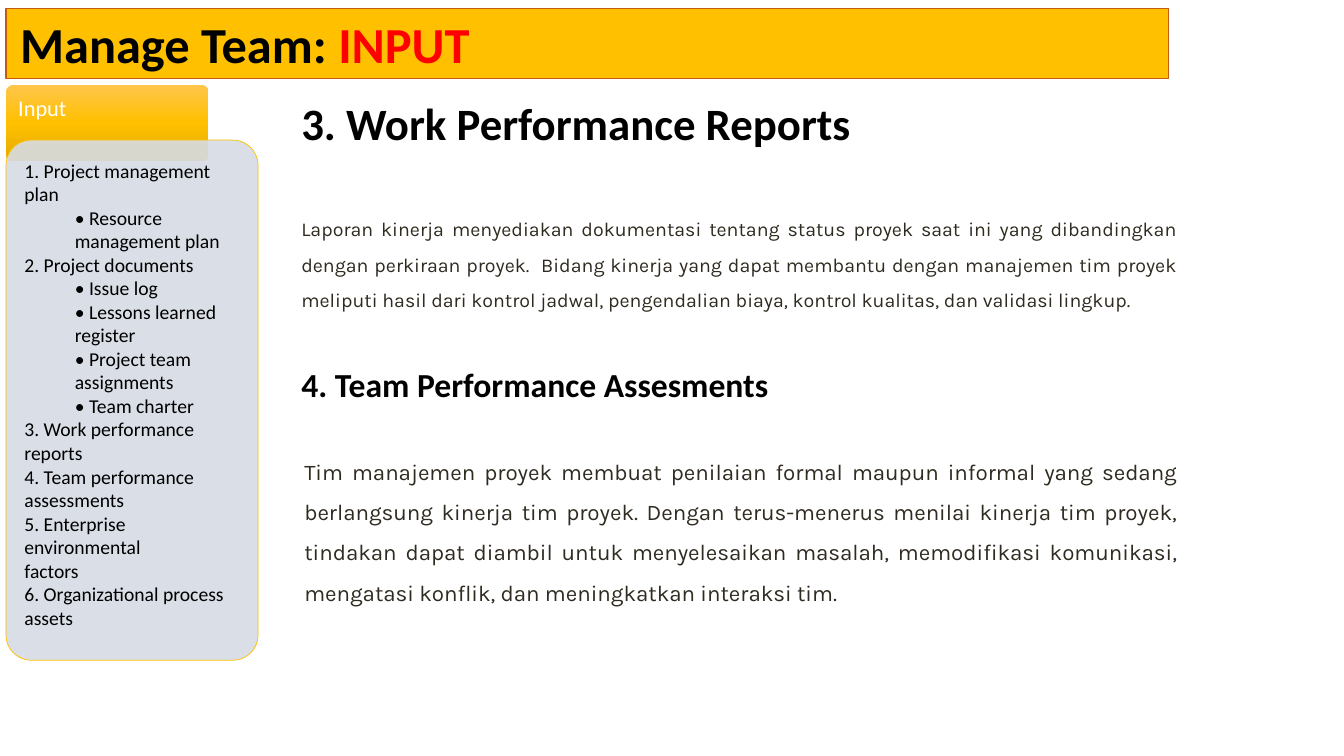
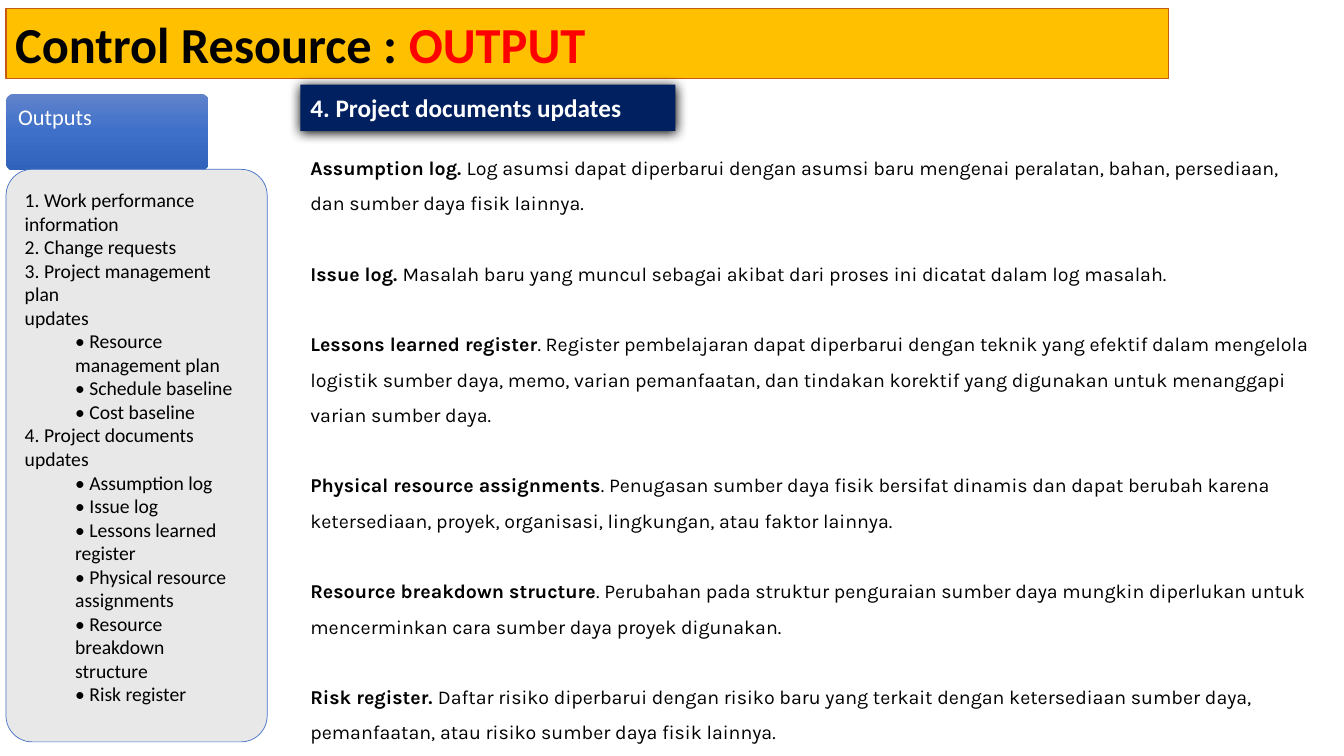
from copy import deepcopy

from lxml import etree
from pptx import Presentation
from pptx.dml.color import RGBColor
from pptx.enum.shapes import MSO_SHAPE
from pptx.enum.text import MSO_ANCHOR, PP_ALIGN
from pptx.oxml.ns import qn
from pptx.util import Pt

PX = 9144
RECT, ROUND = MSO_SHAPE.RECTANGLE, MSO_SHAPE.ROUNDED_RECTANGLE
TOP, MIDDLE, BOTTOM = MSO_ANCHOR.TOP, MSO_ANCHOR.MIDDLE, MSO_ANCHOR.BOTTOM
LEFT, JUSTIFY = PP_ALIGN.LEFT, PP_ALIGN.JUSTIFY
SANS, BODY = "Calibri", "Karla"
BLACK, WHITE, RED, INK = "000000", "FFFFFF", "FF0000", "2F2B20"
GOLD, RUST, NAVY = "FFC000", "C55A11", "002060"


def rgb(code):
    return RGBColor.from_string(code)


def box(slide, kind, at, paras, size, font=SANS, pad=(10, 5, 10, 5),
        anchor=TOP, align=LEFT, lead=1.0, gap=0):
    where = [n * PX for n in at]
    if kind is None:
        shape = slide.shapes.add_textbox(*where)
    else:
        shape = slide.shapes.add_shape(kind, *where)
        shape.shadow.inherit = False
    if kind == ROUND:
        shape.adjustments[0] = 0.1
    frame = shape.text_frame
    frame.word_wrap = True
    frame.vertical_anchor = anchor
    frame.margin_left, frame.margin_top, frame.margin_right, frame.margin_bottom = [
        n * PX for n in pad]
    for i, runs in enumerate(paras):
        para = frame.paragraphs[0] if i == 0 else frame.add_paragraph()
        para.alignment = align
        para.line_spacing = lead
        if i < len(paras) - 1:
            para.space_after = Pt(gap)
        for text, color, bold in runs:
            run = para.add_run()
            run.text = text
            run.font.name = font
            run.font.size = Pt(size)
            run.font.bold = bold
            run.font.color.rgb = rgb(color)
    return shape


PAGES = [
    dict(
        title="Manage Team: ", accent="INPUT", inset=14,
        tab="Input", tab_top=84, shades=["FFC64B", "FFC000", "E3AB00"],
        panel=(6, 139, 250, 516), fill="D6DCE5", edge=GOLD,
        items=[
            (0, "1. Project management plan"),
            (1, "• Resource management plan"),
            (0, "2. Project documents"),
            (1, "• Issue log"),
            (1, "• Lessons learned register"),
            (1, "• Project team assignments"),
            (1, "• Team charter"),
            (0, "3. Work performance reports"),
            (0, "4. Team performance"),
            (0, "assessments"),
            (0, "5. Enterprise environmental"),
            (0, "factors"),
            (0, "6. Organizational process assets"),
        ],
    ),
    dict(
        title="Control Resource : ", accent="OUTPUT", inset=9,
        tab="Outputs", tab_top=93, shades=["6183CB", "3E70CA", "3062BB"],
        panel=(6, 168, 259, 568), fill="E7E6E6", edge="4472C4",
        items=[
            (0, "1. Work performance"),
            (0, "information"),
            (0, "2. Change requests"),
            (0, "3. Project management plan"),
            (0, "updates"),
            (1, "• Resource management plan"),
            (1, "• Schedule baseline"),
            (1, "• Cost baseline"),
            (0, "4. Project documents updates"),
            (1, "• Assumption log"),
            (1, "• Issue log"),
            (1, "• Lessons learned register"),
            (1, "• Physical resource"),
            (1, "assignments"),
            (1, "• Resource breakdown"),
            (1, "structure"),
            (1, "• Risk register"),
        ],
    ),
]

TOPICS = [
    ("3. Work Performance Reports", 32, 86,
     "Laporan kinerja menyediakan dokumentasi tentang status proyek saat ini yang "
     "dibandingkan dengan perkiraan proyek.  Bidang kinerja yang dapat membantu dengan "
     "manajemen tim proyek meliputi hasil dari kontrol jadwal, pengendalian biaya, "
     "kontrol kualitas, dan validasi lingkup.", 14, (289, 199, 889, 116)),
    ("4. Team Performance Assesments", 24, 339,
     "Tim manajemen proyek membuat penilaian formal maupun informal yang sedang "
     "berlangsung kinerja tim proyek. Dengan terus-menerus menilai kinerja tim proyek, "
     "tindakan dapat diambil untuk menyelesaikan masalah, memodifikasi komunikasi, "
     "mengatasi konflik, dan meningkatkan interaksi tim.", 16, (292, 436, 886, 167)),
]

UPDATES = [
    ("Assumption log. ",
     "Log asumsi dapat diperbarui dengan asumsi baru mengenai peralatan, bahan, "
     "persediaan, dan sumber daya fisik lainnya."),
    ("Issue log. ",
     "Masalah baru yang muncul sebagai akibat dari proses ini dicatat dalam log masalah."),
    ("Lessons learned register",
     ". Register pembelajaran dapat diperbarui dengan teknik yang efektif dalam mengelola "
     "logistik sumber daya, memo, varian pemanfaatan, dan tindakan korektif yang digunakan "
     "untuk menanggapi varian sumber daya."),
    ("Physical resource assignments",
     ". Penugasan sumber daya fisik bersifat dinamis dan dapat berubah karena "
     "ketersediaan, proyek, organisasi, lingkungan, atau faktor lainnya."),
    ("Resource breakdown structure",
     ". Perubahan pada struktur penguraian sumber daya mungkin diperlukan untuk "
     "mencerminkan cara sumber daya proyek digunakan."),
    ("Risk register. ",
     "Daftar risiko diperbarui dengan risiko baru yang terkait dengan ketersediaan "
     "sumber daya, pemanfaatan, atau risiko sumber daya fisik lainnya."),
]

deck = Presentation()
deck.slide_width, deck.slide_height = 1333 * PX, 750 * PX
slides = []

for page in PAGES:
    slide = deck.slides.add_slide(deck.slide_layouts[6])
    slides.append(slide)

    band = box(slide, RECT, (6, 8, 1153, 70),
               [[(page["title"], BLACK, True), (page["accent"], RED, True)]],
               36, pad=(page["inset"], 5, 9, 5))
    band.fill.solid()
    band.fill.fore_color.rgb = rgb(GOLD)
    band.line.color.rgb = rgb(RUST)
    band.line.width = Pt(0.75)

    tab = box(slide, ROUND, (6, page["tab_top"], 201, 76),
              [[(page["tab"], WHITE, False)]], 16, pad=(10, 10, 10, 30), lead=0.9)
    tab.line.fill.background()
    tab.fill.gradient()
    tab.fill.gradient_angle = 270
    stops = tab._element.spPr.find(qn("a:gradFill")).find(qn("a:gsLst"))
    stops.append(deepcopy(stops[0]))
    for i, (stop, shade) in enumerate(zip(tab.fill.gradient_stops, page["shades"])):
        stop.position = i / 2
        stop.color.rgb = rgb(shade)

    panel = box(slide, ROUND, page["panel"],
                [[(text, BLACK, False)] for level, text in page["items"]],
                14, pad=(11, 11, 11, 11))
    panel.fill.solid()
    panel.fill.fore_color.rgb = rgb(page["fill"])
    tint = panel._element.spPr.find(qn("a:solidFill"))[0]
    etree.SubElement(tint, qn("a:alpha"), val="90000")
    panel.line.color.rgb = rgb(page["edge"])
    panel.line.width = Pt(0.5)
    for para, (level, text) in zip(panel.text_frame.paragraphs, page["items"]):
        if level:
            para.level = level
            prop = para._p.get_or_add_pPr()
            prop.set("marL", str(50 * PX))
            prop.set("indent", "0")

first, second = slides

for head, size, top, text, small, at in TOPICS:
    box(first, None, (289, top, 630, 73), [[(head, BLACK, True)]], size,
        pad=(10, 10, 10, 10), anchor=BOTTOM, lead=0.9)
    box(first, None, at, [[(text, INK, False)]], small, BODY,
        align=JUSTIFY, lead=1.5)

label = box(second, RECT, (298, 84, 372, 46),
            [[("4. Project documents updates", WHITE, True)]], 18, anchor=MIDDLE)
label.fill.solid()
label.fill.fore_color.rgb = rgb(NAVY)
label.line.fill.background()
glow = etree.SubElement(label._element.spPr.find(qn("a:effectLst")), qn("a:outerShdw"),
                        blurRad=str(Pt(8.5)), dist=str(Pt(1)), dir="5400000",
                        algn="t", rotWithShape="0")
etree.SubElement(glow, qn("a:srgbClr"), val=BLACK)

box(second, None, (298, 138, 1014, 607),
    [[(term, BLACK, True), (text, BLACK, False)] for term, text in UPDATES],
    14, BODY, lead=1.5, gap=25.2)

deck.save("out.pptx")
